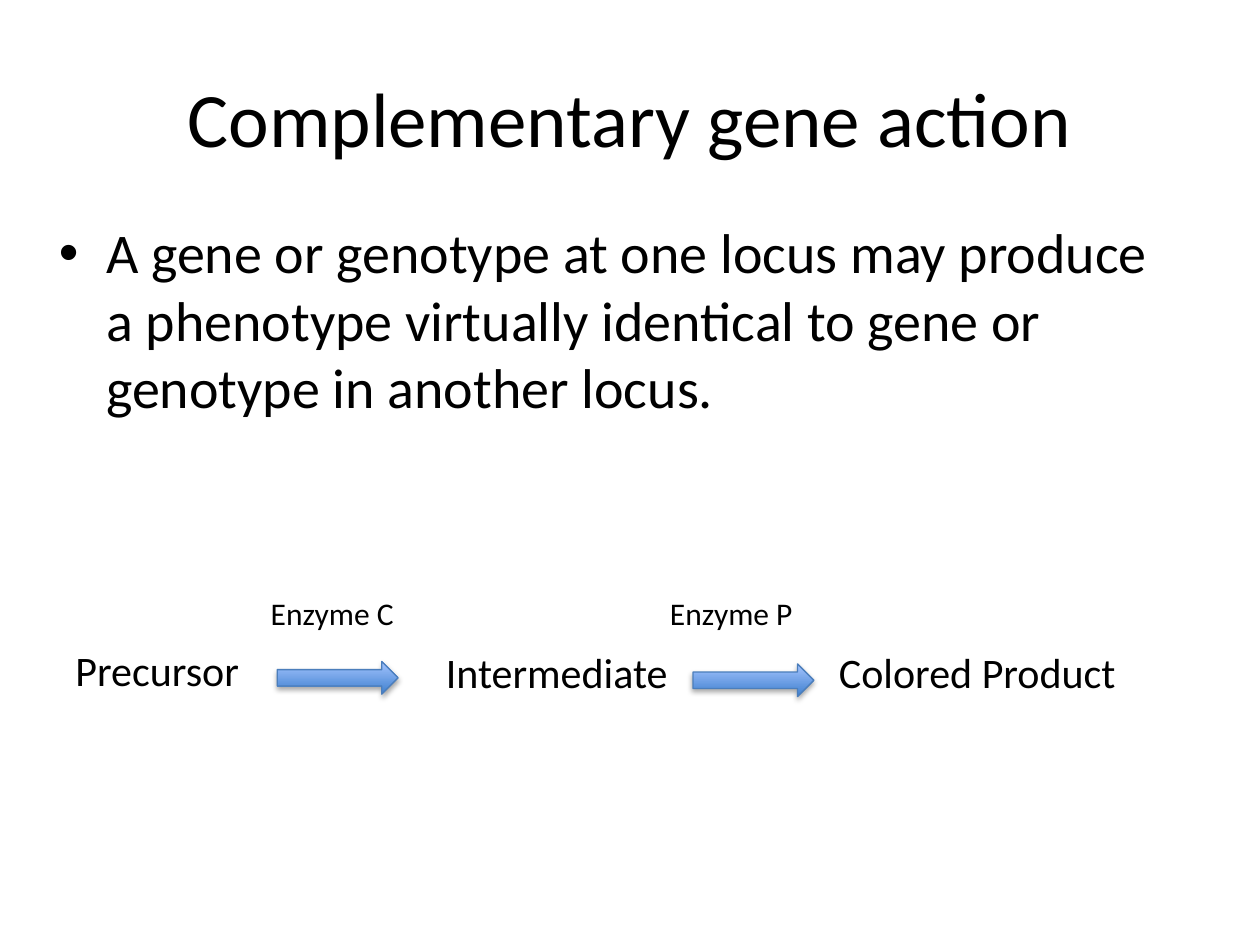
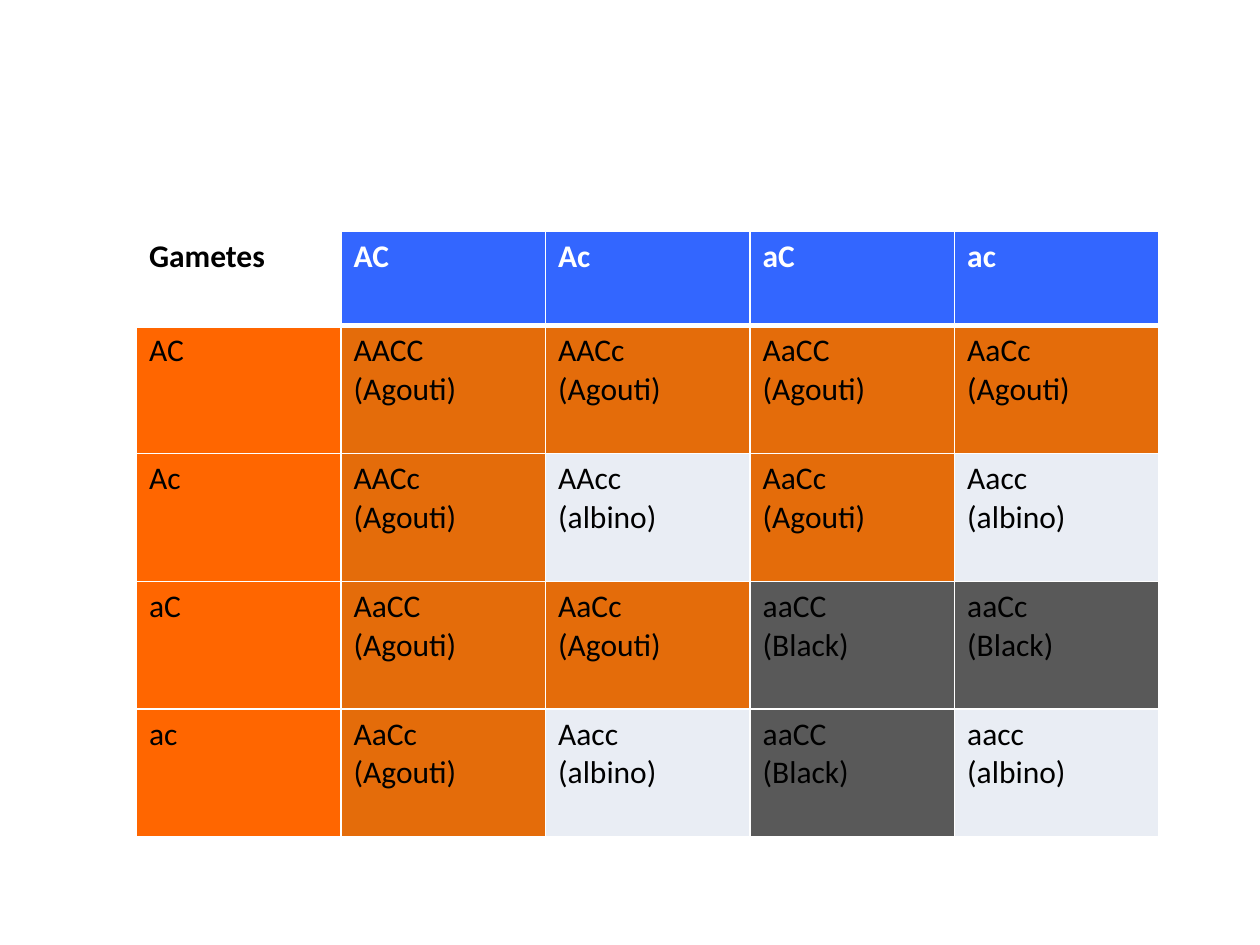
from dataclasses import dataclass

from lxml.etree import SubElement
from pptx import Presentation
from pptx.dml.color import RGBColor as RGB
from pptx.enum.shapes import MSO_SHAPE as Shape
from pptx.enum.text import MSO_ANCHOR as Anchor, PP_ALIGN as Align
from pptx.oxml.ns import qn
from pptx.util import Pt

TITLE = "Complementary gene action"
DEFINITION = (
    "A gene or genotype at one locus may produce a phenotype virtually "
    "identical to gene or genotype in another locus."
)
# Text, left, top
COMPOUNDS = [
    ("Colored Product", 472.3, 365.8),
    ("Precursor", 36, 365),
    ("Intermediate", 247.7, 365.8),
]
ENZYMES = [("Enzyme C", 147.6), ("Enzyme P", 375.8)]
REACTION_ARROWS = [(158.4, 378), (396, 379.4)]

GAMETES = ["AC", "Ac", "aC", "ac"]
CROSSES = [
    ["AACC", "AACc", "AaCC", "AaCc"],
    ["AACc", "AAcc", "AaCc", "Aacc"],
    ["AaCC", "AaCc", "aaCC", "aaCc"],
    ["AaCc", "Aacc", "aaCC", "aacc"],
]


@dataclass(frozen=True)
class Theme:
    font: str = "Calibri"
    title: int = 44
    body: int = 32
    compound: int = 24
    small: int = 18
    black: str = "000000"
    white: str = "FFFFFF"
    header: str = "3366FF"
    gamete: str = "FF6600"
    arrow_dark: str = "3F80CE"
    arrow_light: str = "A4C4FF"
    arrow_line: str = "4B7EBC"


THEME = Theme()
COAT_FILLS = {"Agouti": "E46C0A", "albino": "E9EDF4", "Black": "595959"}


def coat_of(genotype):
    """Two c alleles mask all colour; otherwise one A allele gives agouti."""
    if "C" not in genotype:
        return "albino"
    return "Agouti" if "A" in genotype else "Black"


def style(para, size, color=THEME.black, bold=False):
    font = para.font
    font.name, font.size, font.bold = THEME.font, Pt(size), bold
    font.color.rgb = RGB.from_string(color)


def add_text(page, text, left, top, width, height, size):
    box = page.shapes.add_textbox(Pt(left), Pt(top), Pt(width), Pt(height))
    frame = box.text_frame
    frame.word_wrap = True
    frame.text = text
    style(frame.paragraphs[0], size)
    return frame


def add_bullet(para, indent):
    props = para._p.get_or_add_pPr()
    props.set("marL", str(Pt(indent)))
    props.set("indent", str(-Pt(indent)))
    SubElement(props, qn("a:buFont"), typeface="Arial")
    SubElement(props, qn("a:buChar"), char="•")


def add_reaction_arrow(page, left, top):
    arrow = page.shapes.add_shape(
        Shape.RIGHT_ARROW, Pt(left), Pt(top), Pt(69.1), Pt(18.7))
    arrow.fill.gradient()
    arrow.fill.gradient_angle = 90
    colors = (THEME.arrow_dark, THEME.arrow_light)
    for stop, position, color in zip(arrow.fill.gradient_stops, (0, 1), colors):
        stop.position = position
        stop.color.rgb = RGB.from_string(color)
    arrow.line.color.rgb = RGB.from_string(THEME.arrow_line)
    arrow.line.width = Pt(0.75)
    arrow.shadow.inherit = False
    effects = arrow._element.spPr.find(qn("a:effectLst"))
    shadow = SubElement(effects, qn("a:outerShdw"), blurRad=str(Pt(3.1)),
                        dist=str(Pt(1.8)), dir="5400000", rotWithShape="0")
    color = SubElement(shadow, qn("a:srgbClr"), val=THEME.black)
    SubElement(color, qn("a:alpha"), val="35000")


def add_borders(cell, top, bottom):
    """Draw white borders; they must precede the fill in the cell properties."""
    props = cell._tc.get_or_add_tcPr()
    for side, width in (("L", 1), ("R", 1), ("T", top), ("B", bottom)):
        line = SubElement(props, qn(f"a:ln{side}"), w=str(Pt(width)))
        fill = SubElement(line, qn("a:solidFill"))
        SubElement(fill, qn("a:srgbClr"), val=THEME.white)


def fill_cell(cell, row, column):
    """Write a corner, gamete or offspring cell, depending on its place."""
    color = THEME.black
    if row == column == 0:
        text, fill = "Gametes", None
    elif row == 0:
        text, fill, color = GAMETES[column - 1], THEME.header, THEME.white
    elif column == 0:
        text, fill = GAMETES[row - 1], THEME.gamete
    else:
        genotype = CROSSES[row - 1][column - 1]
        coat = coat_of(genotype)
        text, fill = f"{genotype}\n({coat})", COAT_FILLS[coat]
    add_borders(cell, top=3 if row == 1 else 1, bottom=3 if row == 0 else 1)
    if fill:
        cell.fill.solid()
        cell.fill.fore_color.rgb = RGB.from_string(fill)
    else:
        cell.fill.background()
    cell.text = text
    for para in cell.text_frame.paragraphs:
        style(para, THEME.small, color, bold=row == 0)


def build_pathway(page):
    title = add_text(page, TITLE, 36, 21.6, 648, 90, THEME.title)
    title.vertical_anchor = Anchor.MIDDLE
    title.paragraphs[0].alignment = Align.CENTER
    body = add_text(page, DEFINITION, 26.6, 121, 648, 356.4, THEME.body)
    add_bullet(body.paragraphs[0], 27)
    for name, left, top in COMPOUNDS:
        add_text(page, name, left, top, 229, 36, THEME.compound)
    for left, top in REACTION_ARROWS:
        add_reaction_arrow(page, left, top)
    for name, left in ENZYMES:
        add_text(page, name, left, 336.2, 117.4, 28.8, THEME.small)


def build_cross_table(page):
    count = len(GAMETES) + 1
    heights = [54] + [73.1] * len(GAMETES)
    table = page.shapes.add_table(
        count, count, Pt(78), Pt(132), Pt(584.5), Pt(sum(heights))).table
    for row, height in enumerate(heights):
        table.rows[row].height = Pt(height)
        for column in range(count):
            fill_cell(table.cell(row, column), row, column)


def main():
    deck = Presentation()
    deck.slide_width, deck.slide_height = Pt(720), Pt(540)
    for build in (build_pathway, build_cross_table):
        build(deck.slides.add_slide(deck.slide_layouts[6]))
    deck.save("out.pptx")


if __name__ == "__main__":
    main()
